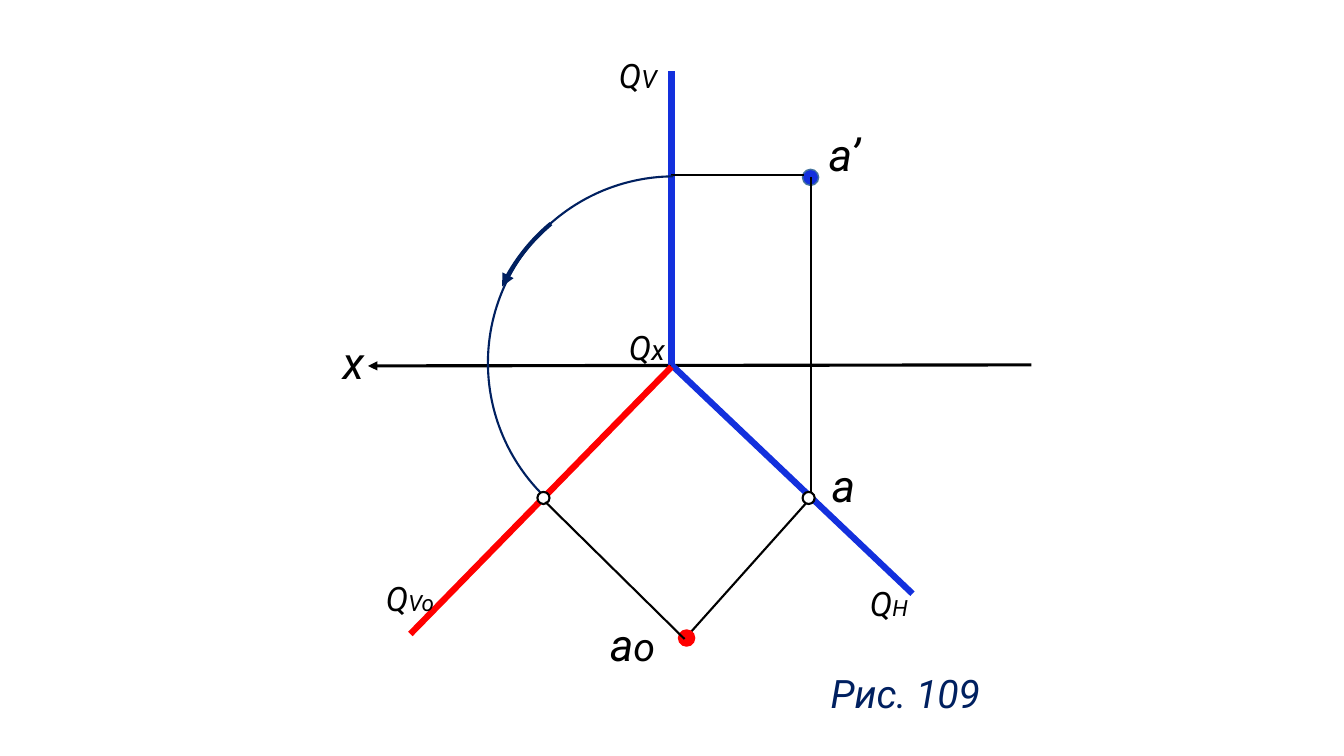
import pptx
import pptx.util
import pptx.dml.color
import pptx.enum.shapes
import pptx.enum.text
import pptx.oxml
import pptx.oxml.ns
from pptx.util import Inches

SHAPE = pptx.enum.shapes.MSO_SHAPE
BLACK, BLUE, RED, NAVY, WHITE = "000000", "1330DD", "FF0000", "002060", "FFFFFF"
THIN, THICK = 1.5, 4.5


def rgb(value):
    return pptx.dml.color.RGBColor.from_string(value)


def set_line(line, color, width):
    line.color.rgb = rgb(color)
    line.width = pptx.util.Pt(width)


def add_head(shape):
    """Put a triangular arrowhead at the start of a line or arc."""
    head = pptx.oxml.parse_xml(
        f'<a:headEnd {pptx.oxml.ns.nsdecls("a")} type="triangle"/>')
    shape.line._get_or_add_ln().append(head)


def segment(slide, start, end, color=BLACK, width=THIN, arrow=False):
    connector = slide.shapes.add_connector(
        pptx.enum.shapes.MSO_CONNECTOR.STRAIGHT,
        *(Inches(value) for value in (*start, *end)))
    set_line(connector.line, color, width)
    if arrow:
        add_head(connector)
    connector._element.spPr.append(
        pptx.oxml.parse_xml(f'<a:effectLst {pptx.oxml.ns.nsdecls("a")}/>'))


def round_shape(slide, kind, left, top, size, color, width):
    shape = slide.shapes.add_shape(
        kind, Inches(left), Inches(top), Inches(size), Inches(size))
    shape.shadow.inherit = False
    set_line(shape.line, color, width)
    return shape


def point(slide, left, top, size, fill, outline, width=1):
    dot = round_shape(slide, SHAPE.OVAL, left, top, size, outline, width)
    dot.fill.solid()
    dot.fill.fore_color.rgb = rgb(fill)


def arc(slide, left, top, start, end, width, arrow=False):
    """Draw a rotation arc between two angles in degrees."""
    curve = round_shape(slide, SHAPE.ARC, left, top, 3.7, NAVY, width)
    curve.fill.background()
    for index, angle in enumerate((start, end)):
        curve.adjustments[index] = angle * 0.6  # 60000ths of a degree over 100000
    if arrow:
        add_head(curve)


def label(slide, left, top, text, *, width=0.8, height=0.57, size=24,
          index="", index_size=16, color=BLACK):
    box = slide.shapes.add_textbox(
        Inches(left), Inches(top), Inches(width), Inches(height))
    frame = box.text_frame
    frame.word_wrap = True
    frame.vertical_anchor = pptx.enum.text.MSO_ANCHOR.BOTTOM
    for part, part_size in ((text, size), (index, index_size)):
        if part:
            run = frame.paragraphs[0].add_run()
            run.text = part
            run.font.name = "Roboto"
            run.font.size = pptx.util.Pt(part_size)
            run.font.italic = True
            run.font.color.rgb = rgb(color)


def main():
    deck = pptx.Presentation()
    deck.slide_width, deck.slide_height = Inches(13.33), Inches(7.5)
    slide = deck.slides.add_slide(deck.slide_layouts[6])

    # Axis and traces of the plane Q
    trace_point = (6.66, 3.62)
    segment(slide, (3.65, 3.63), (10.23, 3.62), width=2.25, arrow=True)
    segment(slide, trace_point, (6.66, 0.7), BLUE, THICK)
    segment(slide, (9.05, 5.89), trace_point, BLUE, THICK)

    # Projections of point a and their link lines
    rotated_a = (6.79, 6.34)
    point(slide, 7.96, 1.68, 0.16, BLUE, "43739E")
    segment(slide, (8.04, 1.76), (8.04, 4.95))
    segment(slide, (4.07, 6.29), (6.66, 3.64), RED, THICK)
    segment(slide, (8.05, 4.93), rotated_a)
    segment(slide, (6.66, 1.74), (7.97, 1.74))
    point(slide, 6.73, 6.25, 0.16, RED, RED)

    # Rotation of the vertical trace
    arc(slide, 4.84, 1.75, 134.43, 269.59, THIN)
    arc(slide, 4.8, 1.79, 205.55, 230.15, 3, arrow=True)
    for left in (7.96, 5.33):
        point(slide, left, 4.88, 0.12, WHITE, BLACK, THIN)
    segment(slide, rotated_a, (5.41, 4.98))

    # Trace labels
    label(slide, 8.53, 5.66, "Q", index="H")
    label(slide, 6.04, 0.42, "Q", index="V", index_size=18)
    label(slide, 6.14, 3.19, "Q", index="x", index_size=20, height=0.5)
    label(slide, 3.73, 5.61, "Q", index="Vo")

    # Axis and point labels
    large = {"size": 32, "height": 0.64}
    label(slide, 3.3, 3.26, "x", width=0.35, **large)
    label(slide, 8.12, 1.2, "a’", **large)
    label(slide, 8.15, 4.48, "a", **large)
    label(slide, 5.95, 6.06, "a", index="o", index_size=28, **large)

    # Figure caption
    label(slide, 8.14, 6.59, "Рис. 109", width=2.78, size=28, color=NAVY)

    deck.save("out.pptx")


if __name__ == "__main__":
    main()
